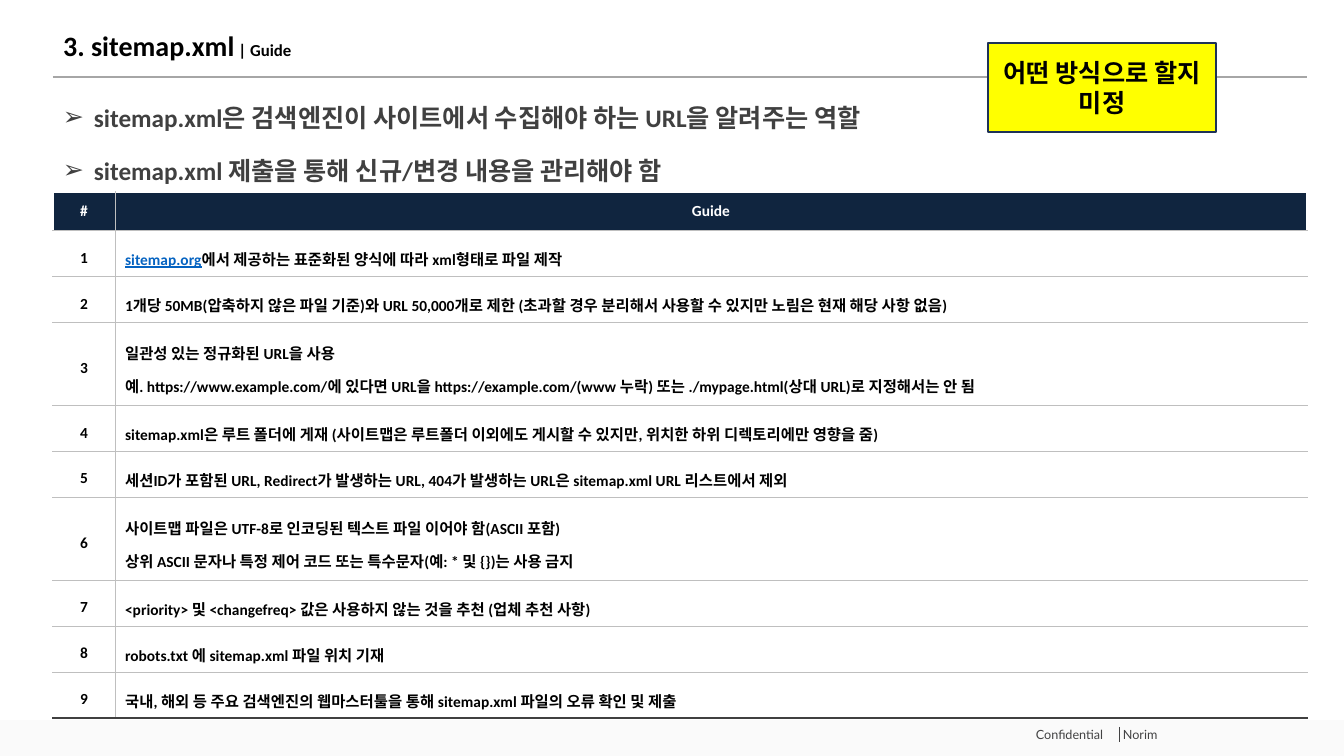
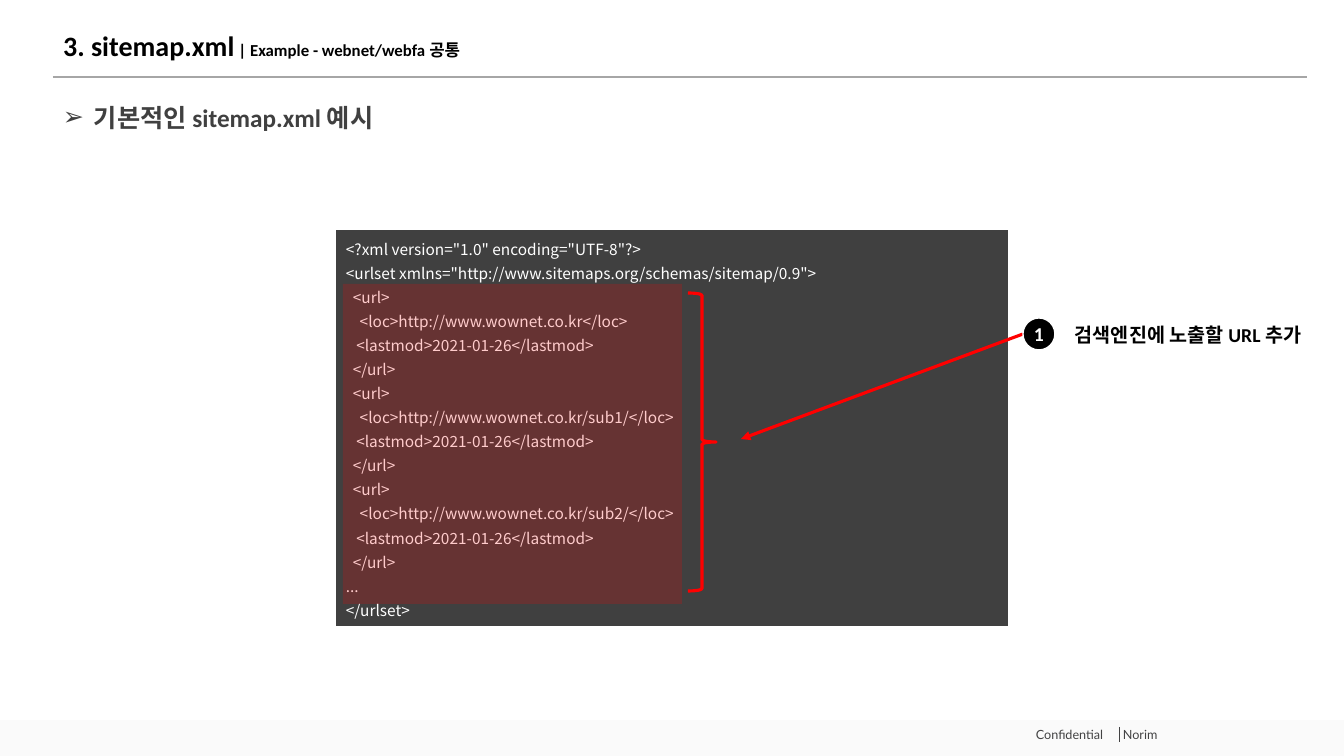
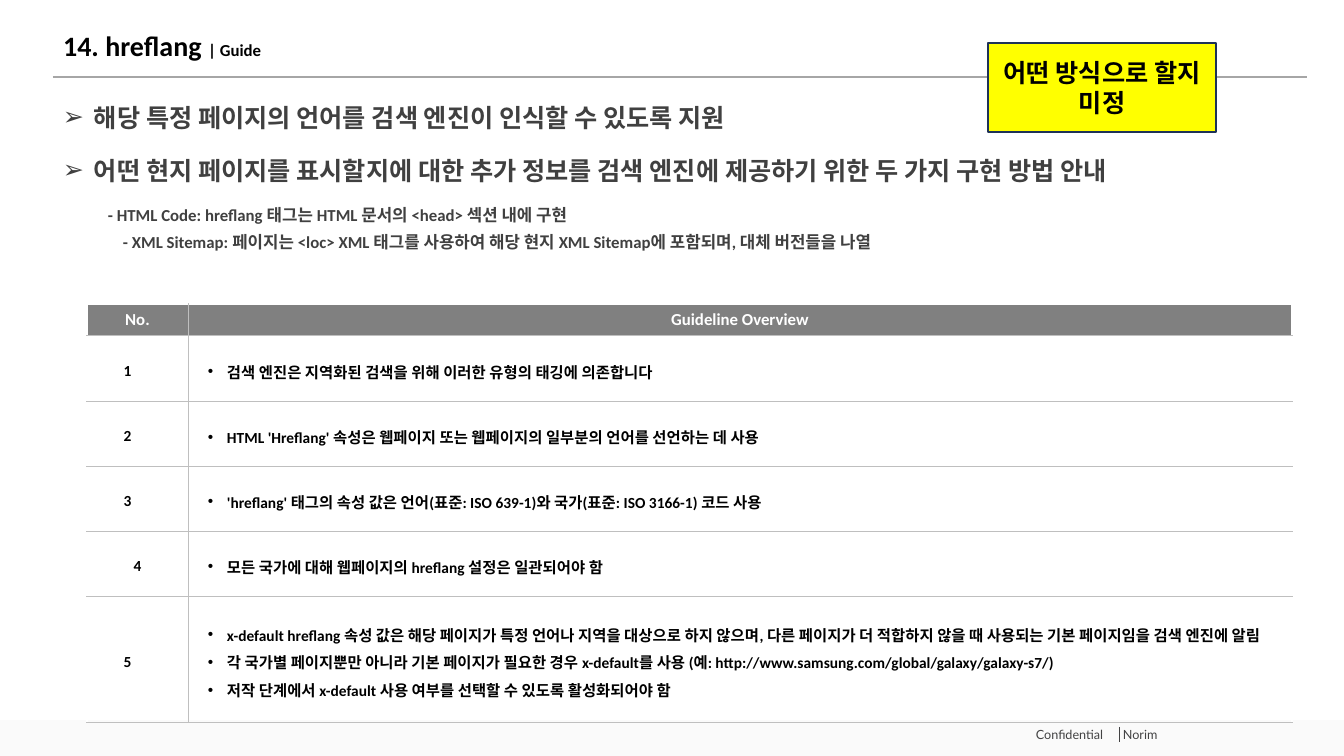
"""Build three slides of a search guideline on sitemap.xml and hreflang."""
from lxml.etree import SubElement
from pptx import Presentation
from pptx.dml.color import RGBColor
from pptx.enum.shapes import MSO_CONNECTOR as CONN, MSO_SHAPE as SHAPE
from pptx.enum.text import MSO_ANCHOR as ANCHOR, MSO_AUTO_SIZE as AUTO, PP_ALIGN as ALIGN
from pptx.oxml.ns import qn
from pptx.util import Pt

PX = 914400 / 100.8
LATIN, HANGUL = "Calibri", "Noto Sans CJK KR"
WHITE = RGBColor(0xFF, 0xFF, 0xFF)
BLACK = RGBColor(0x00, 0x00, 0x00)
RED = RGBColor(0xFF, 0x00, 0x00)
YELLOW = RGBColor(0xFF, 0xFF, 0x00)
NAVY = RGBColor(0x10, 0x25, 0x3F)
NOTE_LINE = RGBColor(0x1E, 0x32, 0x56)
LINK = RGBColor(0x05, 0x63, 0xC1)
DARK = RGBColor(0x40, 0x40, 0x40)
FOOTER_TEXT = RGBColor(0x42, 0x42, 0x43)
GRAY = RGBColor(0x80, 0x80, 0x80)
RULE = RGBColor(0xA6, 0xA6, 0xA6)
GRID = RGBColor(0xBF, 0xBF, 0xBF)
BAND = RGBColor(0xFA, 0xFA, 0xFA)


def write(p, text, size, color, bold=True, font=LATIN, bullet=None, indent=0):
    if bullet:
        pPr = p._p.get_or_add_pPr()
        pPr.set("marL", str(int(indent * PX)))
        pPr.set("indent", str(int(-indent * PX)))
        SubElement(pPr, qn("a:buFont")).set("typeface", "Arial")
        SubElement(pPr, qn("a:buChar")).set("char", bullet)
    r = p.add_run()
    r.text = text
    r.font.name, r.font.size, r.font.bold = font, Pt(size), bold
    r.font.color.rgb = color
    SubElement(r._r.get_or_add_rPr(), qn("a:ea")).set("typeface", HANGUL)
    return r


def add_box(s, kind, box, fill=None, line=None, width=1):
    sp = s.shapes.add_shape(kind, *[int(v * PX) for v in box])
    sp.shadow.inherit = False
    if fill is None:
        sp.fill.background()
    else:
        sp.fill.solid()
        sp.fill.fore_color.rgb = fill
    if line is None:
        sp.line.fill.background()
    else:
        sp.line.color.rgb = line
        sp.line.width = Pt(width)
    return sp


prs = Presentation()
prs.slide_width, prs.slide_height = int(1344 * PX), int(756 * PX)
layout = prs.slide_layouts[5]
for ph in list(layout.placeholders):
    if ph.placeholder_format.idx >= 10:
        ph.element.getparent().remove(ph.element)
title = layout.placeholders[0]
title.left, title.top, title.width, title.height = [int(v * PX) for v in (53, 21, 1254, 52)]

pages = [
    ("3. sitemap.xml", " | Guide",
     ["sitemap.xml은 검색엔진이 사이트에서 수집해야 하는 URL을 알려주는 역할",
      "sitemap.xml 제출을 통해 신규/변경 내용을 관리해야 함"], []),
    ("3. sitemap.xml", " | Example - webnet/webfa 공통",
     ["기본적인 sitemap.xml 예시"], []),
    ("14. hreflang ", "| Guide",
     ["해당 특정 페이지의 언어를 검색 엔진이 인식할 수 있도록 지원",
      "어떤 현지 페이지를 표시할지에 대한 추가 정보를 검색 엔진에 제공하기 위한 두 가지 구현 방법 안내"],
     ["- HTML Code: hreflang 태그는 HTML 문서의 <head> 섹션 내에 구현",
      "- XML Sitemap: 페이지는 <loc> XML 태그를 사용하여 해당 현지 XML Sitemap에 포함되며, 대체 버전들을 나열"]),
]
slides = [prs.slides.add_slide(layout) for page in pages]

s = slides[0]
shared = [add_box(s, SHAPE.RECTANGLE, (0, 720, 1344, 36), BAND)]
for x1, y1, x2, y2, color, width in [(1119, 727, 1119, 742, FOOTER_TEXT, 0.5),
                                     (53, 77, 1307, 77, RULE, 1)]:
    rule = s.shapes.add_connector(CONN.STRAIGHT, *[int(v * PX) for v in (x1, y1, x2, y2)])
    rule.line.color.rgb = color
    rule.line.width = Pt(width)
    SubElement(rule.element.spPr, qn("a:effectLst"))
    shared.append(rule)
for x, text in [(1026, "Confidential"), (1113, "Norim")]:
    footer = s.shapes.add_textbox(*[int(v * PX) for v in (x, 722, 90, 25)])
    write(footer.text_frame.paragraphs[0], text, 9, FOOTER_TEXT, False, "Lato")
    shared.append(footer)
for sp in shared:
    layout.shapes.element.append(sp.element)

for s, (head, tail, points, details) in zip(slides, pages):
    tf = s.shapes.title.text_frame
    tf.auto_size = AUTO.NONE
    tf.vertical_anchor = ANCHOR.MIDDLE
    p = tf.paragraphs[0]
    p.alignment, p.line_spacing = ALIGN.LEFT, 0.9
    write(p, head, 20, BLACK)
    write(p, tail, 12, BLACK)

    tf = s.shapes.add_textbox(*[int(v * PX) for v in (53, 88, 1254, 631)]).text_frame
    tf.word_wrap = True
    for i, text in enumerate(points):
        p = tf.add_paragraph() if i else tf.paragraphs[0]
        write(p, text, 18, DARK, bullet="➢", indent=31)
        p.line_spacing = Pt(28)
        p.space_before = Pt(10 if i else 0)
    for i, text in enumerate(details):
        p = tf.add_paragraph()
        p._p.get_or_add_pPr().set("marL", str(int((45 + 15 * i) * PX)))
        write(p, text, 12, DARK)
        p.line_spacing = Pt(18.6)
        p.space_before = Pt(0 if i else 10)

sitemap_rows = [
    ["sitemap.org에서 제공하는 표준화된 양식에 따라 xml형태로 파일 제작"],
    ["1개당 50MB(압축하지 않은 파일 기준)와 URL 50,000개로 제한 (초과할 경우 분리해서 사용할 수 있지만 노림은 현재 해당 사항 없음)"],
    ["일관성 있는 정규화된 URL을 사용",
     "예. https://www.example.com/에 있다면 URL을 https://example.com/(www 누락) 또는 ./mypage.html(상대 URL)로 지정해서는 안 됨"],
    ["sitemap.xml은 루트 폴더에 게재 (사이트맵은 루트폴더 이외에도 게시할 수 있지만, 위치한 하위 디렉토리에만 영향을 줌)"],
    ["세션ID가 포함된 URL, Redirect가 발생하는 URL, 404가 발생하는 URL은 sitemap.xml URL 리스트에서 제외"],
    ["사이트맵 파일은 UTF-8로 인코딩된 텍스트 파일 이어야 함(ASCII 포함)",
     "상위 ASCII 문자나 특정 제어 코드 또는 특수문자(예: * 및 {})는 사용 금지"],
    ["<priority> 및 <changefreq> 값은 사용하지 않는 것을 추천 (업체 추천 사항)"],
    ["robots.txt 에 sitemap.xml 파일 위치 기재"],
    ["국내, 해외 등 주요 검색엔진의 웹마스터툴을 통해 sitemap.xml 파일의 오류 확인 및 제출"],
]
hreflang_rows = [
    ["검색 엔진은 지역화된 검색을 위해 이러한 유형의 태깅에 의존합니다"],
    ["HTML 'Hreflang' 속성은 웹페이지 또는 웹페이지의 일부분의 언어를 선언하는 데 사용"],
    ["'hreflang' 태그의 속성 값은 언어(표준: ISO 639-1)와 국가(표준: ISO 3166-1) 코드 사용"],
    ["모든 국가에 대해 웹페이지의 hreflang 설정은 일관되어야 함"],
    ["x-default hreflang 속성 값은 해당 페이지가 특정 언어나 지역을 대상으로 하지 않으며, 다른 페이지가 더 적합하지 않을 때 사용되는 기본 페이지임을 검색 엔진에 알림",
     "각 국가별 페이지뿐만 아니라 기본 페이지가 필요한 경우 x-default를 사용 (예: http://www.samsung.com/global/galaxy/galaxy-s7/)",
     "저작 단계에서 x-default 사용 여부를 선택할 수 있도록 활성화되어야 함"],
]
tables = [
    (slides[0], 53, 192, (62, 1192), (38, 46, 46, 83, 46, 46, 83, 46, 46, 46),
     ("#", "Guide"), sitemap_rows, NAVY, 11, 1.5, None, (DARK, 1.5)),
    (slides[2], 87, 304, (101, 1104), (31, 66, 65, 65, 65, 126),
     ("No.", "Guideline Overview"), hreflang_rows, GRAY, 12, 1.25, "•", (GRID, 0.5)),
]
for s, x, y, widths, heights, header, rows, fill, size, spacing, bullet, last in tables:
    box = (x, y, sum(widths), sum(heights))
    table = s.shapes.add_table(len(heights), 2, *[int(v * PX) for v in box]).table
    table.first_row = table.horz_banding = False
    for col, width in zip(table.columns, widths):
        col.width = int(width * PX)
    for row, height in zip(table.rows, heights):
        row.height = int(height * PX)
    content = [[[text] for text in header]]
    content += [[[str(n)], texts] for n, texts in enumerate(rows, 1)]
    for i, line in enumerate(content):
        for j, texts in enumerate(line):
            cell = table.cell(i, j)
            cell.vertical_anchor = ANCHOR.MIDDLE
            if bullet:
                shifted = i and j == 0 and texts != ["4"]
                cell.margin_left = int((20 if i and j else 1) * PX)
                cell.margin_right = int((21 if shifted else 1) * PX)
                cell.margin_top, cell.margin_bottom = int(PX), 0
            tcPr = cell._tc.get_or_add_tcPr()
            bottom = last if i == len(rows) else (GRID, 0.5)
            edges = [("lnL" if j else "lnR", (GRID, 0.5)), ("lnB", bottom)]
            if i:
                edges.insert(1, ("lnT", (GRID, 0.5)))
            for edge, (color, weight) in edges:
                ln = SubElement(tcPr, qn("a:" + edge), w=str(Pt(weight)))
                SubElement(SubElement(ln, qn("a:solidFill")), qn("a:srgbClr")).set("val", str(color))
            if i:
                cell.fill.background()
            else:
                cell.fill.solid()
                cell.fill.fore_color.rgb = fill
            for k, text in enumerate(texts):
                p = cell.text_frame.add_paragraph() if k else cell.text_frame.paragraphs[0]
                p.alignment = ALIGN.LEFT if i and j else ALIGN.CENTER
                if i:
                    p.line_spacing = spacing
                link = "sitemap.org"
                if text.startswith(link):
                    write(p, link, 11, LINK).font.underline = True
                    text = text[len(link):]
                write(p, text, 11 if i else size, BLACK if i else WHITE,
                      bullet=bullet if i and j else None, indent=19)

for s in (slides[0], slides[2]):
    note = add_box(s, SHAPE.RECTANGLE, (988, 43, 228, 89), YELLOW, NOTE_LINE)
    tf = note.text_frame
    tf.word_wrap = True
    tf.vertical_anchor = ANCHOR.MIDDLE
    p = tf.paragraphs[0]
    p.alignment, p.line_spacing = ALIGN.CENTER, Pt(21.5)
    write(p, "어떤 방식으로 할지 미정", 18, BLACK, font="Arial")

s = slides[1]
code = """<?xml version="1.0" encoding="UTF-8"?>
<urlset xmlns="http://www.sitemaps.org/schemas/sitemap/0.9">
  <url>
    <loc>http://www.wownet.co.kr</loc>
   <lastmod>2021-01-26</lastmod>
  </url>
  <url>
    <loc>http://www.wownet.co.kr/sub1/</loc>
   <lastmod>2021-01-26</lastmod>
  </url>
  <url>
    <loc>http://www.wownet.co.kr/sub2/</loc>
   <lastmod>2021-01-26</lastmod>
  </url>
...
</urlset>"""
panel = add_box(s, SHAPE.RECTANGLE, (336, 230, 672, 396), DARK)
tf = panel.text_frame
tf.word_wrap = True
tf.vertical_anchor = ANCHOR.TOP
for i, text in enumerate(code.split("\n")):
    p = tf.add_paragraph() if i else tf.paragraphs[0]
    p.alignment, p.line_spacing = ALIGN.LEFT, Pt(17.15)
    write(p, text, 11, WHITE, False, HANGUL)

tf = s.shapes.add_textbox(*[int(v * PX) for v in (1065, 311, 275, 38)]).text_frame
tf.word_wrap = True
p = tf.paragraphs[0]
p.line_spacing = Pt(22)
write(p, "검색엔진에 노출할 URL 추가", 14, BLACK)

add_box(s, SHAPE.RIGHT_BRACE, (688, 293, 28, 298), None, RED, 2.25)
arrow = s.shapes.add_connector(CONN.STRAIGHT, *[int(v * PX) for v in (1023, 334, 741, 439)])
arrow.line.color.rgb = RED
arrow.line.width = Pt(2.25)
SubElement(arrow.line._get_or_add_ln(), qn("a:tailEnd")).set("type", "triangle")
SubElement(arrow.element.spPr, qn("a:effectLst"))

badge = add_box(s, SHAPE.OVAL, (1023, 318, 32, 32), BLACK, WHITE)
tf = badge.text_frame
tf.margin_left = tf.margin_right = tf.margin_top = tf.margin_bottom = 0
tf.vertical_anchor = ANCHOR.MIDDLE
tf.paragraphs[0].alignment = ALIGN.CENTER
write(tf.paragraphs[0], "1", 14, WHITE)

highlight = add_box(s, SHAPE.RECTANGLE, (343, 284, 339, 320), RED)
tint = highlight.element.spPr.find(qn("a:solidFill")).find(qn("a:srgbClr"))
SubElement(tint, qn("a:alpha")).set("val", "20000")

prs.save("out.pptx")
